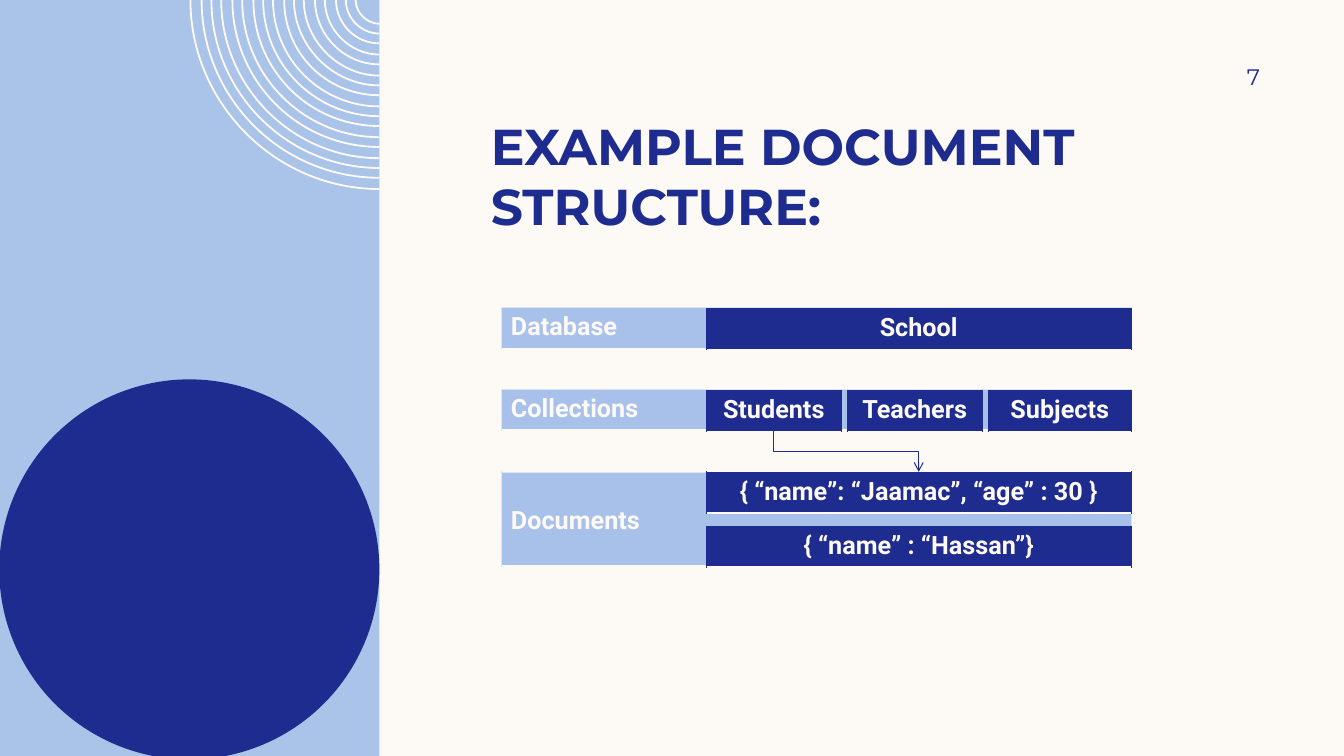
from dataclasses import dataclass

from lxml.etree import SubElement
from pptx import Presentation
from pptx.dml.color import RGBColor
from pptx.enum.shapes import MSO_CONNECTOR, MSO_SHAPE
from pptx.enum.text import MSO_ANCHOR, MSO_AUTO_SIZE, PP_ALIGN
from pptx.oxml.ns import qn
from pptx.util import Pt

COLORS = {"cream": "FDFAF6", "sky": "AAC3E8", "cell": "A7C1EA",
          "navy": "1F2C8F", "edge": "DAE4F4"}
WIDE, HIGH = 960, 540
PANEL = 271
LEFT, RIGHT = 357.8, 807.8
VALUE = 504.7
ROW = 29.4


@dataclass
class Label:
    text: str
    top: float
    high: float = ROW
    inset: float = 3.6


@dataclass
class Value:
    text: str
    left: float
    top: float
    wide: float


LABELS = [
    Label("Database", 219.6),
    Label("Collections", 278),
    Label("Documents", 337, 67.5, 24.7),
]
FULL = RIGHT - VALUE
VALUES = [
    Value("School", VALUE, 220.2, FULL),
    Value("Students", VALUE, 278.6, 96),
    Value("Teachers", 605.4, 278.6, 96),
    Value("Subjects", 706.2, 278.6, 101.6),
    Value("{ “name”: “Jaamac”, “age” : 30 }", VALUE, 337, FULL),
    Value("{ “name” : “Hassan”}", VALUE, 375.6, FULL),
]


def rgb(name: str) -> RGBColor:
    return RGBColor.from_string(COLORS[name])


def paint(target, name: str) -> None:
    target.fill.solid()
    target.fill.fore_color.rgb = rgb(name)


def plain(shape, name: str) -> None:
    paint(shape, name)
    shape.line.fill.background()
    shape.shadow.inherit = False


def write(frame, text: str, size: float, face: str, color: str,
          bold: bool, align: PP_ALIGN) -> None:
    line = frame.paragraphs[0]
    line.alignment = align
    run = line.add_run()
    run.text = text
    run.font.color.rgb = rgb(color)
    for key, item in {"size": Pt(size), "name": face, "bold": bold}.items():
        setattr(run.font, key, item)


def setup(target, **style) -> None:
    for key, item in style.items():
        setattr(target, key, item)


def border(cell, edges: dict) -> None:
    """Set the sides in edges (color, width); clear the other sides."""
    props = cell._tc.get_or_add_tcPr()
    for spot, side in enumerate("LRTB"):
        line = SubElement(props, qn(f"a:ln{side}"))
        props.insert(spot, line)
        if side in edges:
            name, width = edges[side]
            line.set("w", str(Pt(width)))
            fill = SubElement(line, qn("a:solidFill"))
            SubElement(fill, qn("a:srgbClr"), val=COLORS[name])
        else:
            SubElement(line, qn("a:noFill"))


def grid(shapes, cols: int, left: float, top: float, wide: float,
         high: float):
    frame = shapes.add_table(1, cols, Pt(left), Pt(top), Pt(wide), Pt(high))
    setup(frame.table, first_row=False, horz_banding=False)
    return frame.table


def add_label(shapes, label: Label) -> None:
    table = grid(shapes, 2, LEFT, label.top, RIGHT - LEFT, label.high)
    if label.high > ROW:
        table.columns[0].width = Pt(113)
        table.columns[1].width = Pt(RIGHT - LEFT - 113)
    for col, side in enumerate("LR"):
        cell = table.cell(0, col)
        paint(cell, "cell")
        border(cell, {side: ("edge", 0.5), "T": ("edge", 0.5),
                      "B": ("cream", 1.5)})
    cell = table.cell(0, 0)
    cell.margin_top = Pt(label.inset)
    write(cell.text_frame, label.text, 18, "Roboto", "cream", True,
          PP_ALIGN.LEFT)


def add_value(shapes, value: Value) -> None:
    cell = grid(shapes, 1, value.left, value.top, value.wide, ROW).cell(0, 0)
    paint(cell, "navy")
    border(cell, {**{side: ("navy", 0.5) for side in "LRT"},
                  "B": ("cream", 1)})
    write(cell.text_frame, value.text, 18, "Roboto", "cream", True,
          PP_ALIGN.CENTER)


def add_rings(shapes) -> None:
    """Quarter rings around the panel's top right corner."""
    radii = [134.7 - 7.38 * ring for ring in range(17)]
    form = shapes.build_freeform(PANEL - radii[0], 0, scale=float(Pt(1)))
    for radius in radii:
        pull = 0.55 * radius
        if radius != radii[0]:
            form.move_to(PANEL - radius, 0)
        form.add_line_segments([(PANEL - radius, pull),
                                (PANEL - pull, radius),
                                (PANEL, radius)], close=False)
    rings = form.convert_to_shape()
    steps = list(rings._element.iter(qn("a:lnTo")))
    for first, *rest in zip(steps[::3], steps[1::3], steps[2::3]):
        curve = SubElement(first.getparent(), qn("a:cubicBezTo"))
        first.addprevious(curve)
        for step in (first, *rest):
            curve.append(step[0])
            step.getparent().remove(step)
    rings.fill.background()
    rings.line.color.rgb = rgb("cream")
    rings.line.width = Pt(1.3)
    rings.shadow.inherit = False


def add_bend(shapes, start: tuple, end: tuple) -> None:
    """Elbow arrow that leaves and arrives vertically."""
    mid_x, mid_y = (start[0] + end[0]) / 2, (start[1] + end[1]) / 2
    half_x, half_y = (end[0] - start[0]) / 2, (end[1] - start[1]) / 2
    bend = shapes.add_connector(
        MSO_CONNECTOR.ELBOW, Pt(mid_x + half_y), Pt(mid_y - half_x),
        Pt(mid_x - half_y), Pt(mid_y + half_x))
    bend.line.color.rgb = rgb("navy")
    bend.line.width = Pt(0.75)
    props = bend._element.spPr
    props.find(qn("a:xfrm")).set("rot", str(270 * 60000))
    SubElement(props.find(qn("a:ln")), qn("a:tailEnd"), type="arrow")
    SubElement(props, qn("a:effectLst"))


def main() -> None:
    deck = Presentation()
    deck.slide_width, deck.slide_height = Pt(WIDE), Pt(HIGH)
    slide = deck.slides.add_slide(deck.slide_layouts[5])
    paint(slide.background, "cream")
    shapes = slide.shapes

    panel = shapes.add_shape(MSO_SHAPE.RECTANGLE, 0, 0, Pt(PANEL), Pt(HIGH))
    plain(panel, "sky")
    add_rings(shapes)
    disc = shapes.add_shape(MSO_SHAPE.OVAL, Pt(-0.5), Pt(PANEL),
                            Pt(PANEL + 0.5), Pt(PANEL + 0.5))
    plain(disc, "navy")

    title = shapes.title
    setup(title, left=Pt(343.4), top=Pt(67), width=Pt(554.4),
          height=Pt(101.5))
    setup(title.text_frame, word_wrap=True, auto_size=MSO_AUTO_SIZE.NONE,
          vertical_anchor=MSO_ANCHOR.BOTTOM, margin_top=0, margin_bottom=0)
    write(title.text_frame, "EXAMPLE DOCUMENT STRUCTURE:", 36, "Montserrat",
          "navy", True, PP_ALIGN.LEFT)

    number = shapes.add_textbox(Pt(822.2), Pt(36), Pt(77.8), Pt(37.4))
    setup(number.text_frame, word_wrap=True, margin_right=0,
          vertical_anchor=MSO_ANCHOR.MIDDLE)
    write(number.text_frame, "7", 16, "Montserrat", "navy", False,
          PP_ALIGN.RIGHT)

    for label in LABELS:
        add_label(shapes, label)
    for value in VALUES:
        add_value(shapes, value)
    add_bend(shapes, (552.6, 308), (656.2, 337))
    deck.save("out.pptx")


if __name__ == "__main__":
    main()
